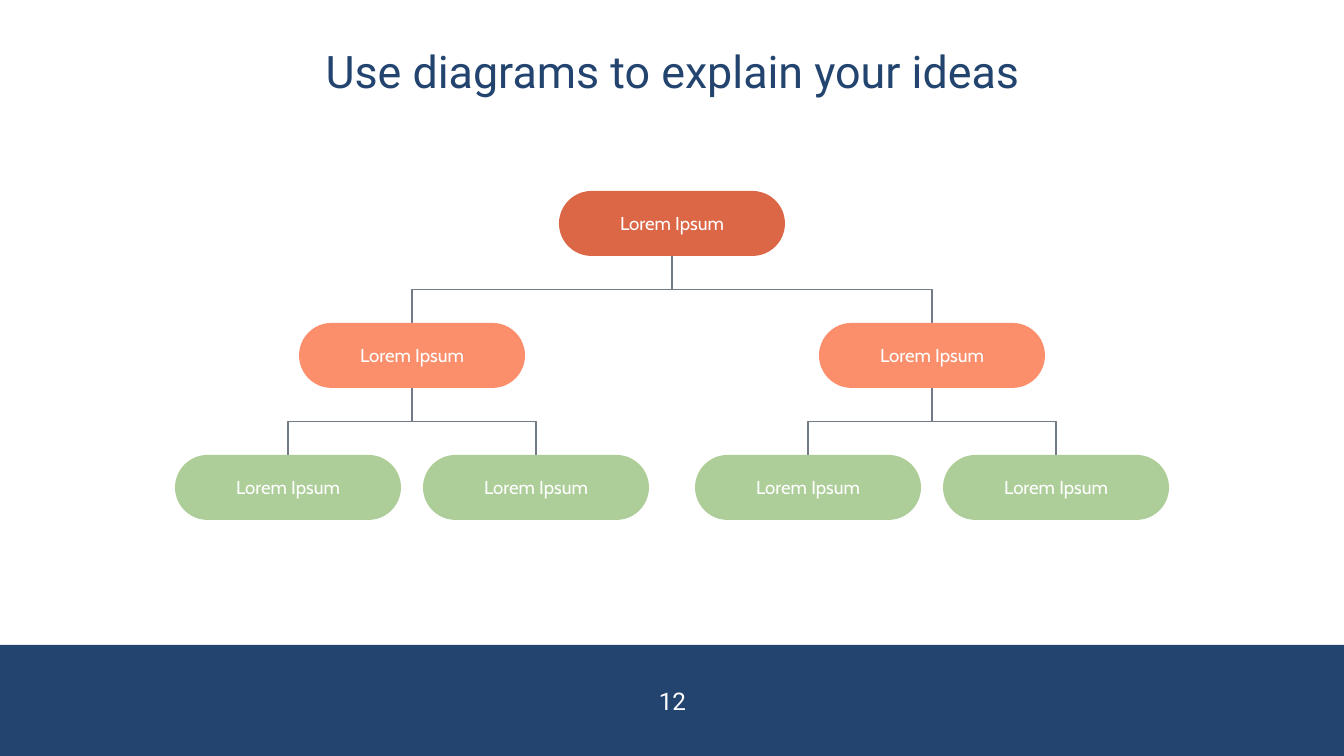
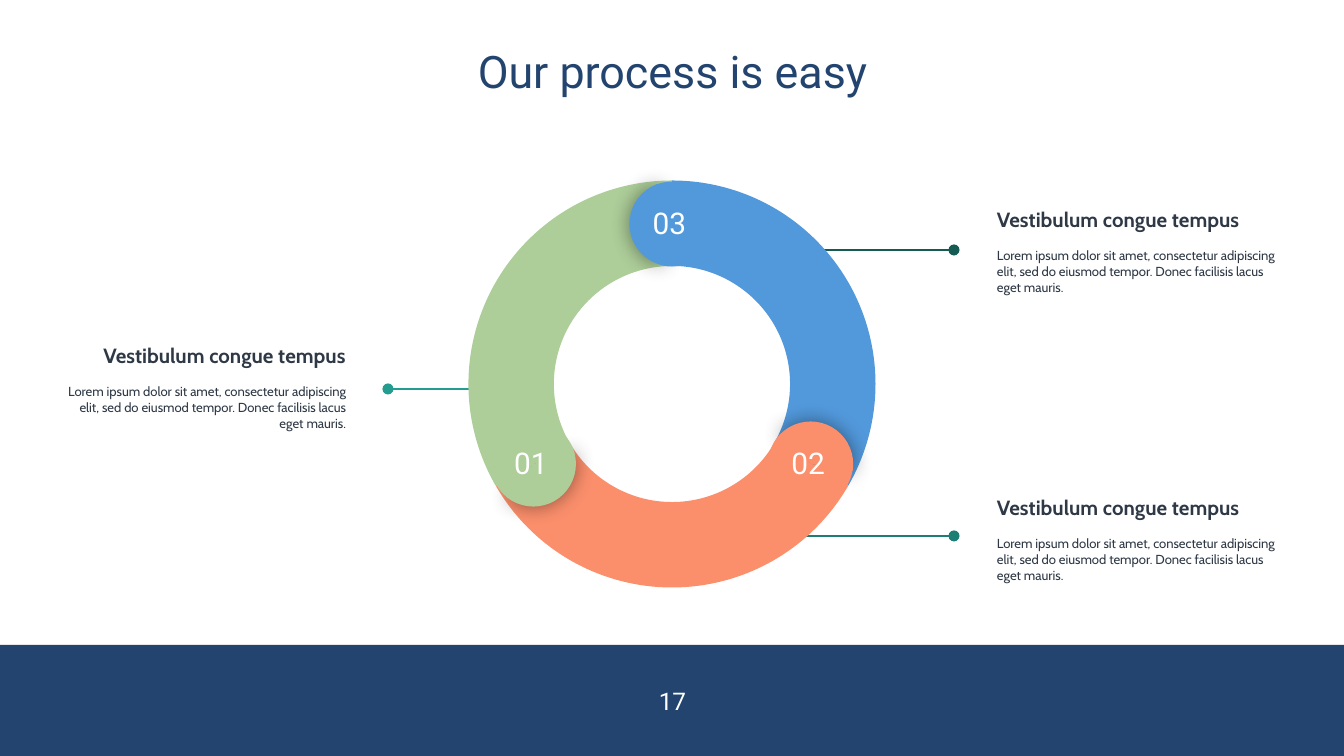
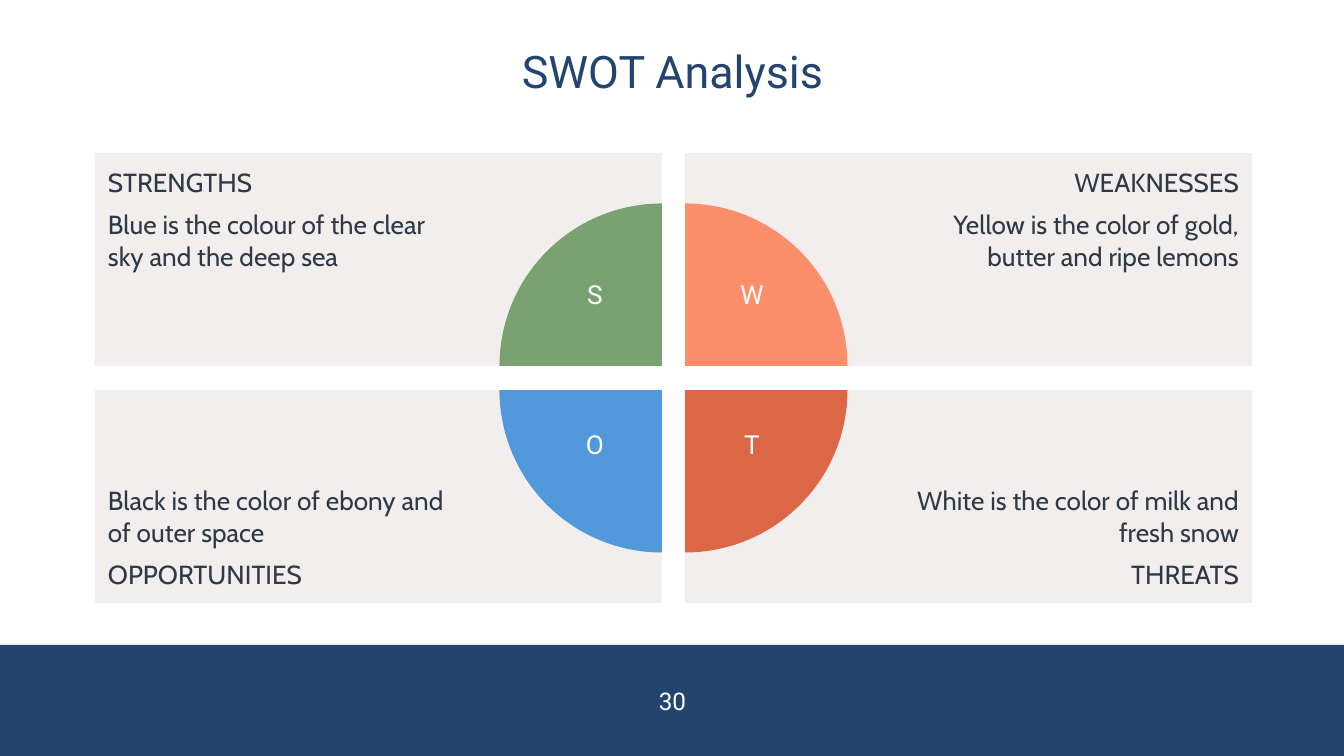
from math import cos, radians, sin

from lxml import etree
from pptx import Presentation
from pptx.dml.color import RGBColor
from pptx.enum.shapes import MSO_CONNECTOR, MSO_SHAPE
from pptx.enum.text import MSO_ANCHOR, PP_ALIGN
from pptx.oxml.ns import qn
from pptx.util import Emu, Pt

EMU_PER_PX = 914400 / 134.4
SLIDE_WIDTH, SLIDE_HEIGHT = 1344, 756
DEGREE = 0.6  # adjustment units in one degree of arc

LEFT, CENTER, RIGHT = PP_ALIGN.LEFT, PP_ALIGN.CENTER, PP_ALIGN.RIGHT
TOP, MIDDLE, BOTTOM = MSO_ANCHOR.TOP, MSO_ANCHOR.MIDDLE, MSO_ANCHOR.BOTTOM
RECTANGLE, ROUNDED = MSO_SHAPE.RECTANGLE, MSO_SHAPE.ROUNDED_RECTANGLE
PIE, BLOCK_ARC = MSO_SHAPE.PIE, MSO_SHAPE.BLOCK_ARC
STRAIGHT, ELBOW = MSO_CONNECTOR.STRAIGHT, MSO_CONNECTOR.ELBOW

WHITE = RGBColor(0xFF, 0xFF, 0xFF)
NAVY = RGBColor(0x22, 0x44, 0x6F)
INK = RGBColor(0x2F, 0x39, 0x46)
GRAY = RGBColor(0x72, 0x7A, 0x85)
PANEL = RGBColor(0xF1, 0xEE, 0xED)
RUST = RGBColor(0xDB, 0x67, 0x46)
CORAL = RGBColor(0xFB, 0x8F, 0x6C)
LIGHT_GREEN = RGBColor(0xAD, 0xCE, 0x99)
GREEN = RGBColor(0x7A, 0xA2, 0x71)
BLUE = RGBColor(0x52, 0x99, 0xDC)
TEAL = RGBColor(0x24, 0x9C, 0x90)
MID_TEAL = RGBColor(0x1D, 0x7E, 0x74)
DARK_TEAL = RGBColor(0x15, 0x5B, 0x54)

HEADING_FONT, BODY_FONT = "Roboto", "Cabin"
INSET = 13

# Organisation tree: (label, children)
TREE = ("Lorem Ipsum", [
    ("Lorem Ipsum", [("Lorem Ipsum", []), ("Lorem Ipsum", [])]),
    ("Lorem Ipsum", [("Lorem Ipsum", []), ("Lorem Ipsum", [])]),
])
LEVEL_COLORS = [RUST, CORAL, LIGHT_GREEN]
LEVEL_SPREAD = [260, 124]  # sideways step from a parent to its children
NODE_WIDTH, NODE_HEIGHT = 226, 65
TREE_TOP, LEVEL_STEP = 191, 132

# Process ring, clockwise from the top: (number, colour)
STEPS = [("03", BLUE), ("02", CORAL), ("01", LIGHT_GREEN)]
RING_X, RING_Y, RING_SIZE = 672, 384, 407
CAP_SIZE, CAP_RADIUS = 85, 160
CALLOUT_HEADING = "Vestibulum congue tempus"
CALLOUT_BODY = ("Lorem ipsum dolor sit amet, consectetur adipiscing elit, sed do "
                "eiusmod tempor. Donec facilisis lacus eget mauris.")
# (left, top, alignment, line start, line end, line y, line colour)
CALLOUTS = [
    (47, 292, RIGHT, 481, 388, 389, TEAL),
    (984, 156, LEFT, 766, 954, 250, DARK_TEAL),
    (984, 444, LEFT, 766, 954, 536, MID_TEAL),
]

# SWOT: (letter, heading, body, colour, column, row, pie rotation)
SWOT = [
    ("S", "STRENGTHS", "Blue is the colour of the clear sky and the deep sea",
     GREEN, 0, 0, 0),
    ("W", "WEAKNESSES", "Yellow is the color of gold, butter and ripe lemons",
     CORAL, 1, 0, 90),
    ("O", "OPPORTUNITIES", "Black is the color of ebony and of outer space",
     BLUE, 0, 1, 270),
    ("T", "THREATS", "White is the color of milk and fresh snow",
     RUST, 1, 1, 180),
]
PANEL_LEFT, PANEL_TOP = 95, 153
PANEL_WIDTH, PANEL_HEIGHT, PANEL_GAP = 567, 213, 23
PIE_SIZE, PIE_INSET = 325, 202
LETTER_SIZE = 60
LETTER_CENTERS, LETTER_TOPS = (595, 752), (271, 421)


def px(value):
    return Emu(round(value * EMU_PER_PX))


def add_filled(slide, kind, box, color, adjustments=(), rotation=0):
    shape = slide.shapes.add_shape(kind, *map(px, box))
    shape.shadow.inherit = False
    shape.fill.solid()
    shape.fill.fore_color.rgb = color
    shape.line.fill.background()
    shape.rotation = rotation
    for index, value in enumerate(adjustments):
        shape.adjustments[index] = value
    return shape


def write(shape, lines, font, color, align=CENTER, anchor=MIDDLE,
          insets=(0, 0, 0, 0), wrap=True):
    """Fill a shape with (text, size, bold, space before) lines."""
    frame = shape.text_frame
    frame.word_wrap = wrap
    frame.vertical_anchor = anchor
    (frame.margin_left, frame.margin_top,
     frame.margin_right, frame.margin_bottom) = map(px, insets)
    for index, (text, size, bold, space_before) in enumerate(lines):
        paragraph = frame.add_paragraph() if index else frame.paragraphs[0]
        paragraph.text = text
        paragraph.alignment = align
        paragraph.space_before = Pt(space_before)
        paragraph.font.name = font
        paragraph.font.size = Pt(size)
        paragraph.font.bold = bold
        paragraph.font.color.rgb = color


def add_label(slide, box, text, size, color=WHITE, **options):
    label = slide.shapes.add_textbox(*map(px, box))
    write(label, [(text, size, False, 0)], HEADING_FONT, color, **options)
    return label


def add_line(slide, kind, start, end, color):
    line = slide.shapes.add_connector(kind, *map(px, (*start, *end)))
    line.line.color.rgb = color
    line.line.width = Pt(0.75)
    etree.SubElement(line._element.spPr, qn("a:effectLst"))
    return line


def add_glow_shadow(shape):
    effects = shape._element.spPr.find(qn("a:effectLst"))
    shadow = etree.SubElement(effects, qn("a:outerShdw"), blurRad=str(Pt(11.2)),
                              dist="0", dir="0", algn="ctr", rotWithShape="0")
    color = etree.SubElement(shadow, qn("a:srgbClr"), val="000000")
    etree.SubElement(color, qn("a:alpha"), val="43000")


def add_base_slide(presentation, title, number):
    slide = presentation.slides.add_slide(presentation.slide_layouts[6])
    add_filled(slide, RECTANGLE, (0, 645, SLIDE_WIDTH, 111), NAVY)
    heading = add_label(slide, (126, 0, 1093, 149), title, 24, NAVY)
    heading.text_frame.paragraphs[0].line_spacing = 0.9
    add_label(slide, (577, 663, 191, 75), number, 13)
    return slide


def add_branch(slide, parent_x, child_x, top, bottom):
    """Elbow that leaves the parent downwards: a sideways elbow, turned."""
    center_x, center_y = (parent_x + child_x) / 2, (top + bottom) / 2
    half_run, half_drop = abs(child_x - parent_x) / 2, (bottom - top) / 2
    side = half_drop if child_x > parent_x else -half_drop
    branch = add_line(slide, ELBOW, (center_x + side, center_y - half_run),
                      (center_x - side, center_y + half_run), GRAY)
    branch._element.spPr.xfrm.set("rot", str(270 * 60000))


def add_node(slide, node, center_x=SLIDE_WIDTH / 2, level=0):
    text, children = node
    top = TREE_TOP + level * LEVEL_STEP
    box = (center_x - NODE_WIDTH / 2, top, NODE_WIDTH, NODE_HEIGHT)
    shape = add_filled(slide, ROUNDED, box, LEVEL_COLORS[level], [0.5])
    write(shape, [(text, 10, False, 0)], BODY_FONT, WHITE, insets=[INSET] * 4)
    for direction, child in zip((-1, 1), children):
        child_x = center_x + direction * LEVEL_SPREAD[level]
        add_branch(slide, center_x, child_x, top + NODE_HEIGHT, top + LEVEL_STEP)
        add_node(slide, child, child_x, level + 1)


def add_callout(slide, left, top, align, start, end, line_y, color):
    callout = slide.shapes.add_textbox(*map(px, (left, top, 312, 190)))
    lines = [(CALLOUT_HEADING, 11, True, 0), (CALLOUT_BODY, 7, False, 8.5)]
    write(callout, lines, BODY_FONT, INK, align, insets=[INSET] * 4)
    leader = add_line(slide, STRAIGHT, (start, line_y), (end, line_y), color)
    etree.SubElement(leader.line._get_or_add_ln(), qn("a:tailEnd"), type="oval")


def add_ring(slide):
    ring_box = (RING_X - RING_SIZE / 2, RING_Y - RING_SIZE / 2, RING_SIZE, RING_SIZE)
    arc = (210 * DEGREE, 330 * DEGREE, 0.21)
    turns = [index * 360 / len(STEPS) for index in range(len(STEPS))]
    for turn, (_, color) in zip(turns, STEPS):
        add_filled(slide, BLOCK_ARC, ring_box, color, arc, turn + 60)
    for turn, (number, color) in zip(turns, STEPS):
        angle = radians(turn - 90)
        cap_x = RING_X + CAP_RADIUS * cos(angle)
        cap_y = RING_Y + CAP_RADIUS * sin(angle)
        cap_box = (cap_x - CAP_SIZE / 2, cap_y - CAP_SIZE / 2, CAP_SIZE, CAP_SIZE)
        outer = add_filled(slide, PIE, cap_box, color,
                           (103 * DEGREE, 250 * DEGREE), turn)
        add_glow_shadow(outer)
        add_filled(slide, PIE, cap_box, color,
                   (67 * DEGREE, 286 * DEGREE), (turn + 180) % 360)
        add_label(slide, (cap_x - 40, cap_y - 32, 75, 39), number, 16,
                  anchor=TOP, insets=[INSET] * 4)


def add_swot_panel(slide, heading, body, column, row):
    box = (PANEL_LEFT + column * (PANEL_WIDTH + PANEL_GAP),
           PANEL_TOP + row * (PANEL_HEIGHT + PANEL_GAP + 1),
           PANEL_WIDTH, PANEL_HEIGHT)
    panel = add_filled(slide, RECTANGLE, box, PANEL)
    first, second = (body, heading) if row else (heading, body)
    insets = ((PIE_INSET, INSET, INSET, INSET) if column
              else (INSET, INSET, PIE_INSET, INSET))
    write(panel, [(first, 14, False, 0), (second, 14, False, 6)], BODY_FONT, INK,
          RIGHT if column else LEFT, BOTTOM if row else TOP, insets)


def add_swot_pie(slide, letter, color, column, row, rotation):
    """Quarter disc whose point sits on the inner corner of its panel."""
    corner_x = PANEL_LEFT + PANEL_WIDTH + column * PANEL_GAP
    corner_y = PANEL_TOP + PANEL_HEIGHT + row * (PANEL_GAP + 1)
    box = (corner_x - PIE_SIZE / 2, corner_y - PIE_SIZE / 2, PIE_SIZE, PIE_SIZE)
    add_filled(slide, PIE, box, color, (180 * DEGREE, 270 * DEGREE), rotation)
    letter_box = (LETTER_CENTERS[column] - LETTER_SIZE / 2, LETTER_TOPS[row],
                  LETTER_SIZE, LETTER_SIZE)
    add_label(slide, letter_box, letter, 14, anchor=TOP,
              insets=(INSET, 7, INSET, 7), wrap=False)


def main():
    presentation = Presentation()
    presentation.slide_width = px(SLIDE_WIDTH)
    presentation.slide_height = px(SLIDE_HEIGHT)

    tree_slide = add_base_slide(presentation, "Use diagrams to explain your ideas", "12")
    add_node(tree_slide, TREE)

    process_slide = add_base_slide(presentation, "Our process is easy", "17")
    for callout in CALLOUTS:
        add_callout(process_slide, *callout)
    add_ring(process_slide)

    swot_slide = add_base_slide(presentation, "SWOT Analysis", "30")
    for _, heading, body, _, column, row, _ in SWOT:
        add_swot_panel(swot_slide, heading, body, column, row)
    for letter, _, _, color, column, row, rotation in SWOT:
        add_swot_pie(swot_slide, letter, color, column, row, rotation)

    presentation.save("out.pptx")


if __name__ == "__main__":
    main()
